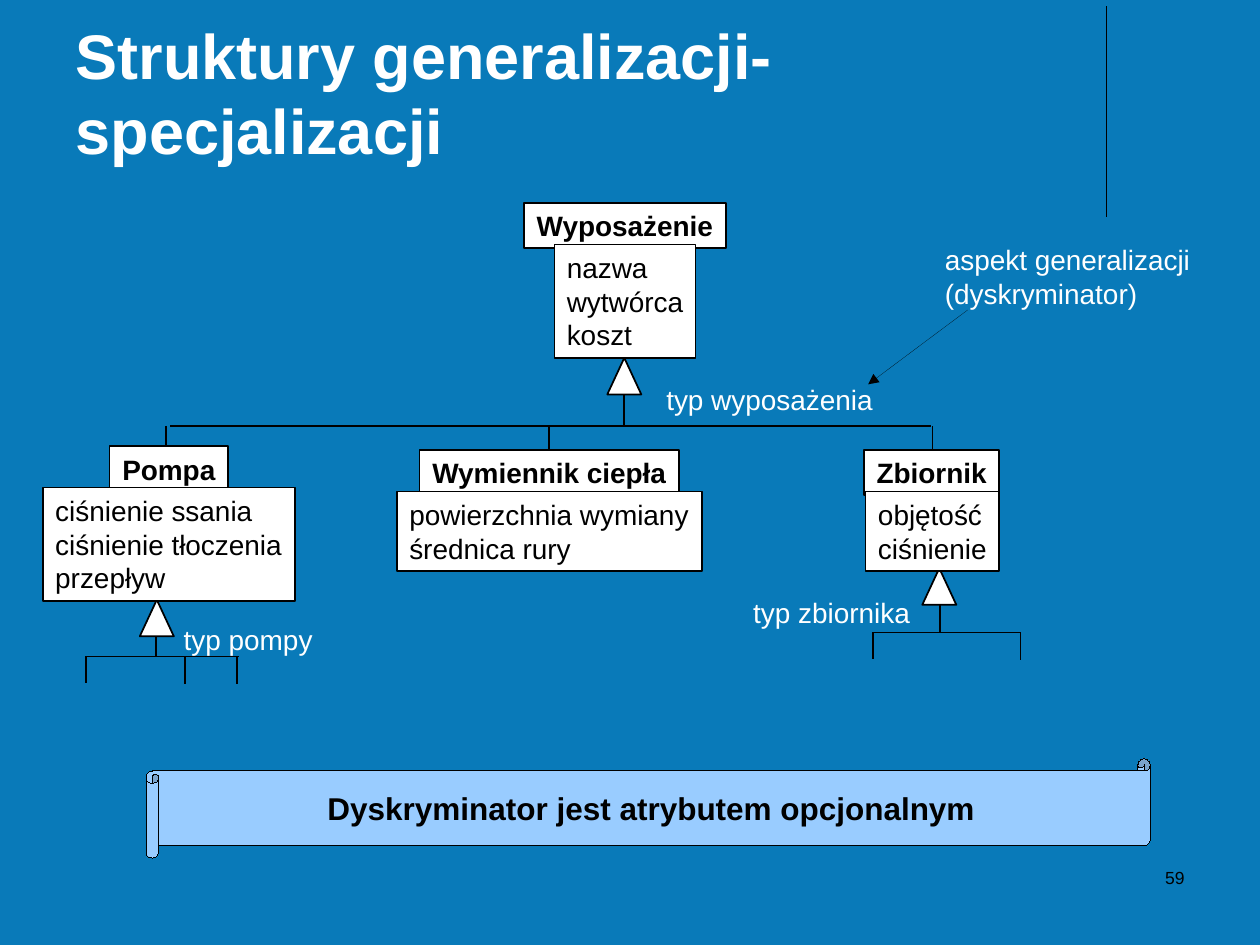
import pptx
import pptx.util
import pptx.dml.color
import pptx.enum.shapes
import pptx.enum.text
import pptx.oxml.ns
import lxml.etree

COLORS = {"page": "097AB9", "white": "FFFFFF", "black": "000000", "scroll": "99CCFF"}
RGB = {name: pptx.dml.color.RGBColor.from_string(code) for name, code in COLORS.items()}
SHAPE = pptx.enum.shapes.MSO_SHAPE
ALIGN = pptx.enum.text.PP_ALIGN
ANCHOR = pptx.enum.text.MSO_ANCHOR
HAIRLINE = 0.01

deck = pptx.Presentation()
deck.slide_width = pptx.util.Inches(10)
deck.slide_height = pptx.util.Inches(7.5)
page = deck.slides.add_slide(deck.slide_layouts[5])
page.background.fill.solid()
page.background.fill.fore_color.rgb = RGB["page"]

# The page is a grid of 100 columns and 75 rows
column = deck.slide_width / 100
row = deck.slide_height / 75

# Narrow side margins leave spare room, so tight boxes never break a word
TIGHT_LEFT = {"margin_right": 0}
TIGHT_CENTER = {"margin_left": round(0.4 * column), "margin_right": round(0.4 * column)}


def write(box, lines, size, color="white", bold=False, align=ALIGN.LEFT, **frame_format):
    """Fill a box with one paragraph per line."""
    frame = box.text_frame
    settings = {"word_wrap": True, "auto_size": pptx.enum.text.MSO_AUTO_SIZE.NONE,
                "vertical_anchor": ANCHOR.TOP, **frame_format}
    for name, value in settings.items():
        setattr(frame, name, value)
    for index, line in enumerate(lines):
        para = frame.paragraphs[0] if index == 0 else frame.add_paragraph()
        para.alignment = align
        span = para.add_run()
        span.text = line
        for name, value in {"name": "Arial", "size": pptx.util.Pt(size), "bold": bold}.items():
            setattr(span.font, name, value)
        span.font.color.rgb = RGB[color]


def add_box(kind, left, top, width, height, fill="white", line_width=1):
    """Add a preset shape, or a text box when kind is None; places are in grid cells."""
    place = [round(n) for n in (left * column, top * row, width * column, height * row)]
    if kind is None:
        return page.shapes.add_textbox(*place)
    box = page.shapes.add_shape(kind, *place)
    box.shadow.inherit = False
    box.fill.solid()
    box.fill.fore_color.rgb = RGB[fill]
    box.line.color.rgb = RGB["black"]
    box.line.width = pptx.util.Pt(line_width)
    return box


# Title
title = page.shapes.title
for name, value in {"left": 5 * column, "top": 1.3 * row,
                    "width": 82.5 * column, "height": 12.5 * row}.items():
    setattr(title, name, round(value))
write(title, ["Struktury generalizacji-specjalizacji"], 36, bold=True,
      vertical_anchor=ANCHOR.BOTTOM)

# Lines: x1, y1, x2, y2, width in points
pointer = (76.8, 24.6, 68.9, 30.5, HAIRLINE)
lines = [(87.8, 0.5, 87.8, 17.2, 0.75), pointer]
# Inheritance trees: stem x, stem top, bar y, bar left, bar right, branches (x, end)
trees = [
    (49.5, 26.7, 33.8, 13.5, 73.9, [(13.2, 36.6), (43.6, 36.9), (74, 37)]),
    (12.4, 46.9, 52.1, 6.9, 19, [(6.8, 54.2), (14.7, 54.3), (18.8, 54.3)]),
    (74.6, 44.7, 50.2, 69.2, 81, [(69.3, 52.3), (81, 52.4)]),
]
for stem, top, bar, left, right, branches in trees:
    lines += [(stem, top, stem, bar, 1), (left, bar, right, bar, 1)]
    lines += [(x, bar, x, end, 1) for x, end in branches]

for place in lines:
    x1, y1, x2, y2, width = place
    line = page.shapes.add_connector(
        pptx.enum.shapes.MSO_CONNECTOR.STRAIGHT,
        *[round(n) for n in (x1 * column, y1 * row, x2 * column, y2 * row)])
    line.line.color.rgb = RGB["black"]
    line.line.width = pptx.util.Pt(width)
    if place == pointer:
        lxml.etree.SubElement(line.line._get_or_add_ln(),
                              pptx.oxml.ns.qn("a:tailEnd"), type="triangle")
    lxml.etree.SubElement(line._element.spPr, pptx.oxml.ns.qn("a:effectLst"))

# Generalization triangles
for left, top in [(48.2, 28.4), (11.1, 47.6), (73.2, 45.1)]:
    add_box(SHAPE.ISOSCELES_TRIANGLE, left, top, 2.7, 2.9)

# Discriminator labels
labels = [
    (51.9, 29.9, 18.4, 3.6, ["typ wyposażenia"]),
    (13.6, 48.9, 12.2, 3.6, ["typ pompy"]),
    (58.8, 46.8, 14.4, 3.6, ["typ zbiornika"]),
    (74, 18.8, 21.5, 6.3, ["aspekt generalizacji", "(dyskryminator)"]),
]
for *place, words in labels:
    write(add_box(None, *place), words, 16, **TIGHT_LEFT)

# Classes: name, top, name left and width, attribute left and width, attributes
classes = [
    ("Wyposażenie", 16.1, 41.6, 16, 44, 11.2, ["nazwa", "wytwórca", "koszt"]),
    ("Pompa", 35.4, 8.7, 9.4, 3.4, 20,
     ["ciśnienie ssania", "ciśnienie tłoczenia", "przepływ"]),
    ("Wymiennik ciepła", 35.7, 33.3, 20.6, 31.5, 24.2,
     ["powierzchnia wymiany", "średnica rury"]),
    ("Zbiornik", 35.7, 68.6, 10.7, 68.7, 10.6, ["objętość", "ciśnienie"]),
]
for name, top, name_left, name_width, left, width, attributes in classes:
    heading = add_box(SHAPE.RECTANGLE, name_left, top, name_width, 3.6)
    write(heading, [name], 16, "black", True, ALIGN.CENTER, **TIGHT_CENTER)
    body = add_box(SHAPE.RECTANGLE, left, top + 3.3, width, 0.95 + 2.68 * len(attributes))
    write(body, attributes, 16, "black", **TIGHT_LEFT)

# Closing scroll
scroll = add_box(SHAPE.HORIZONTAL_SCROLL, 11.6, 60.2, 79.7, 7.9, "scroll", HAIRLINE)
write(scroll, ["Dyskryminator jest atrybutem opcjonalnym"], 18, "black", True, ALIGN.CENTER,
      vertical_anchor=ANCHOR.MIDDLE)

# Page number
number = add_box(None, 71.7, 68.3, 23.3, 5)
write(number, ["59"], 10, "black", align=ALIGN.RIGHT)

deck.save("out.pptx")
